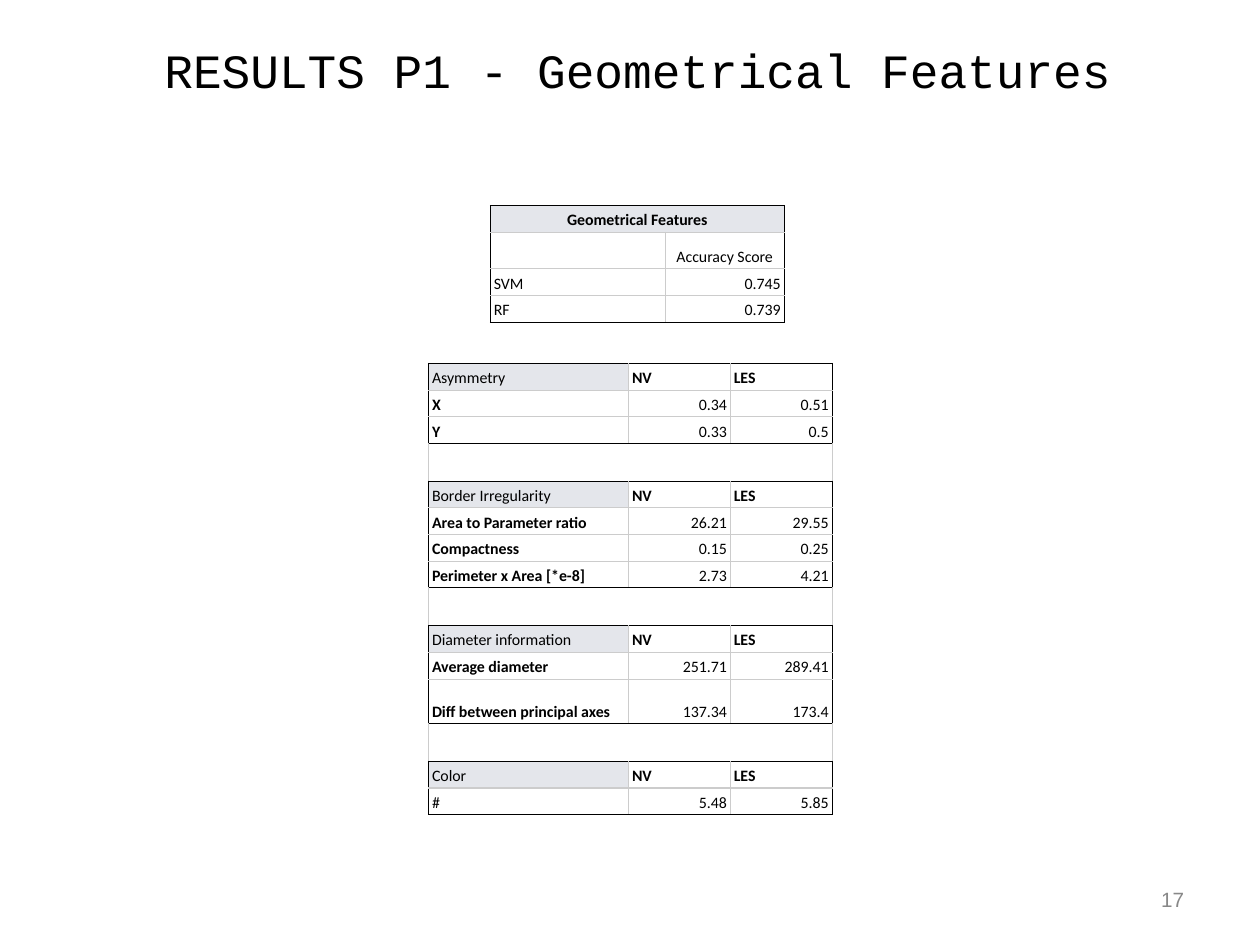
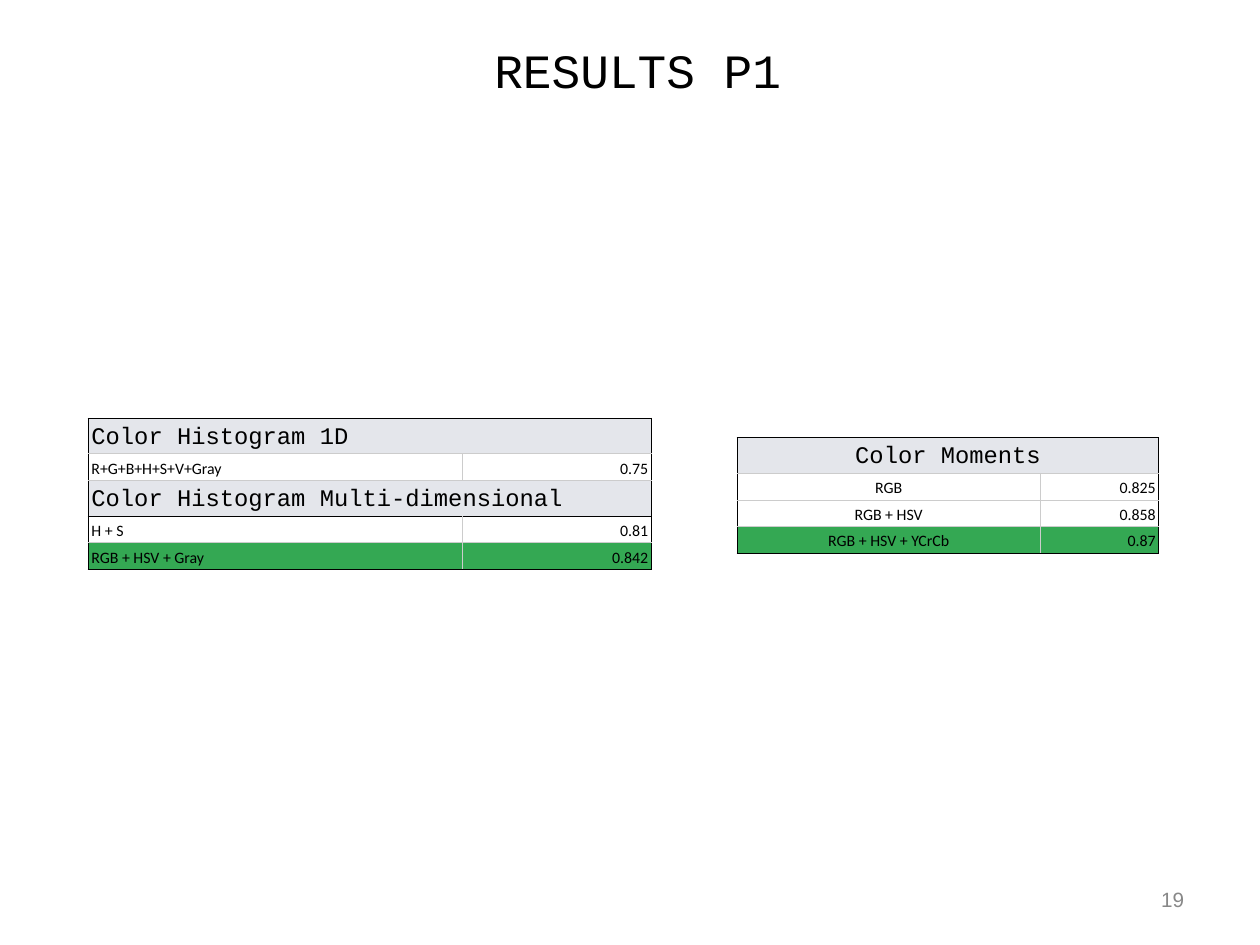
"""Build two slides of classification results with bordered score tables."""
import dataclasses

import lxml.etree
import pptx
import pptx.dml.color
import pptx.enum.text
import pptx.oxml.ns
import pptx.util

Inches = pptx.util.Inches
Align = pptx.enum.text.PP_ALIGN
Anchor = pptx.enum.text.MSO_ANCHOR


@dataclasses.dataclass(frozen=True)
class Theme:
    """Colours, fonts and type sizes of the slides."""
    black: str = "000000"
    white: str = "FFFFFF"
    number_grey: str = "888888"
    grid: str = "CCCCCC"
    band: str = "E4E6EB"
    best: str = "34A853"
    heading_font: str = "Courier New"
    table_font: str = "Calibri"
    number_font: str = "Arial"
    title_size: float = 30.1
    heading_size: float = 15
    table_size: float = 10
    number_size: float = 13
    border_width: float = 0.75


THEME = Theme()


@dataclasses.dataclass(frozen=True)
class CellStyle:
    """Look of one table cell."""
    align: Align = Align.LEFT
    bold: bool = False
    fill: str = THEME.white
    font: str = THEME.table_font
    size: float = THEME.table_size
    spacing: float = 1.15


@dataclasses.dataclass(frozen=True)
class RowStyle:
    """Look of a table row: its first cell, its other cells and its height."""
    first: CellStyle
    other: CellStyle
    height: float = 0.23
    merged: bool = False
    side: str = THEME.black


PLAIN = CellStyle()
BOLD = CellStyle(bold=True)
CENTERED = CellStyle(align=Align.CENTER)
VALUE = CellStyle(align=Align.RIGHT)
BEST_VALUE = CellStyle(align=Align.RIGHT, fill=THEME.best)
CAPTION = CellStyle(align=Align.CENTER, spacing=1.0)
BAND = CellStyle(align=Align.CENTER, bold=True, fill=THEME.band)
HEADING = CellStyle(fill=THEME.band, font=THEME.heading_font, size=THEME.heading_size)
CENTERED_HEADING = dataclasses.replace(HEADING, align=Align.CENTER)

ROW_STYLES = {
    "band": RowStyle(BAND, BAND, merged=True),
    "heading": RowStyle(HEADING, HEADING, 0.31, merged=True),
    "centered heading": RowStyle(CENTERED_HEADING, CENTERED_HEADING, 0.31, merged=True),
    "caption": RowStyle(PLAIN, CAPTION, 0.32),
    "group": RowStyle(CellStyle(fill=THEME.band), BOLD),
    "plain": RowStyle(PLAIN, VALUE),
    "bold": RowStyle(BOLD, VALUE),
    "tall bold": RowStyle(BOLD, VALUE, 0.39),
    "centered": RowStyle(CENTERED, VALUE),
    "best": RowStyle(CellStyle(fill=THEME.best), BEST_VALUE),
    "centered best": RowStyle(CellStyle(align=Align.CENTER, fill=THEME.best), BEST_VALUE),
    "gap": RowStyle(PLAIN, PLAIN, 0.33, merged=True, side=THEME.grid),
}

GAP = [("gap", "")]
ACCURACY_BLOCKS = [[
    ("band", "Geometrical Features"),
    ("caption", "", "Accuracy Score"),
    ("plain", "SVM", "0.745"),
    ("plain", "RF", "0.739"),
]]
FEATURE_BLOCKS = [
    [
        ("group", "Asymmetry", "NV", "LES"),
        ("bold", "X", "0.34", "0.51"),
        ("bold", "Y", "0.33", "0.5"),
    ],
    GAP,
    [
        ("group", "Border Irregularity", "NV", "LES"),
        ("bold", "Area to Parameter ratio", "26.21", "29.55"),
        ("bold", "Compactness", "0.15", "0.25"),
        ("bold", "Perimeter x Area [*e-8]", "2.73", "4.21"),
    ],
    GAP,
    [
        ("group", "Diameter information", "NV", "LES"),
        ("bold", "Average diameter", "251.71", "289.41"),
        ("tall bold", "Diff between principal axes", "137.34", "173.4"),
    ],
    GAP,
    [
        ("group", "Color", "NV", "LES"),
        ("plain", "#", "5.48", "5.85"),
    ],
]
MOMENT_BLOCKS = [[
    ("centered heading", "Color Moments"),
    ("centered", "RGB", "0.825"),
    ("centered", "RGB + HSV", "0.858"),
    ("centered best", "RGB + HSV + YCrCb", "0.87"),
]]
HISTOGRAM_BLOCKS = [
    [
        ("heading", "Color Histogram 1D"),
        ("plain", "R+G+B+H+S+V+Gray", "0.75"),
        ("heading", "Color Histogram Multi-dimensional"),
    ],
    [
        ("plain", "H + S", "0.81"),
        ("best", "RGB + HSV + Gray", "0.842"),
    ],
]


def set_attributes(target, values):
    """Set each named attribute of the target."""
    for name, value in values.items():
        setattr(target, name, value)


def write_text(frame, text, align, font, size, color=THEME.black, bold=False, spacing=1.0):
    """Write one formatted paragraph into a text frame."""
    paragraph = frame.paragraphs[0]
    set_attributes(paragraph, {"alignment": align, "line_spacing": spacing})
    if text:
        run = paragraph.add_run()
        run.text = text
        set_attributes(run.font, {"name": font, "size": pptx.util.Pt(size), "bold": bold})
        run.font.color.rgb = pptx.dml.color.RGBColor.from_string(color)


def format_frame(frame):
    """Apply the margins and anchor shared by titles and slide numbers."""
    set_attributes(frame, {
        "word_wrap": True,
        "auto_size": pptx.enum.text.MSO_AUTO_SIZE.NONE,
        "vertical_anchor": Anchor.MIDDLE,
        "margin_left": Inches(0.11),
        "margin_right": Inches(0.11),
        "margin_top": Inches(0.06),
        "margin_bottom": Inches(0.06),
    })


def add_titled_slide(presentation, title, number):
    """Add a slide with its title and slide number."""
    slide = presentation.slides.add_slide(presentation.slide_layouts[5])
    heading = slide.shapes.title
    set_attributes(heading, {
        "left": Inches(0.62), "top": Inches(0.2),
        "width": Inches(9.92), "height": Inches(0.82),
    })
    format_frame(heading.text_frame)
    write_text(heading.text_frame, title, Align.CENTER, THEME.heading_font, THEME.title_size)
    number_box = slide.shapes.add_textbox(
        Inches(7.9), Inches(7.66), Inches(2.57), Inches(0.44))
    format_frame(number_box.text_frame)
    write_text(number_box.text_frame, number, Align.RIGHT, THEME.number_font,
               THEME.number_size, THEME.number_grey, spacing=0.93)
    return slide


def set_borders(cell, left, right, top, bottom):
    """Draw the four borders of a cell in the given colours."""
    properties = cell._tc.get_or_add_tcPr()
    qualified = pptx.oxml.ns.qn
    for side, color in zip("LRTB", (left, right, top, bottom)):
        line = lxml.etree.SubElement(properties, qualified(f"a:ln{side}"),
                                     w=str(pptx.util.Pt(THEME.border_width)))
        fill = lxml.etree.SubElement(line, qualified("a:solidFill"))
        lxml.etree.SubElement(fill, qualified("a:srgbClr"), val=color)


def format_cell(cell, text, style):
    """Fill a cell and write its text."""
    cell.fill.solid()
    cell.fill.fore_color.rgb = pptx.dml.color.RGBColor.from_string(style.fill)
    vertical_margin = Inches(0.02 if text else 0)
    set_attributes(cell, {
        "vertical_anchor": Anchor.BOTTOM,
        "margin_left": Inches(0.03), "margin_right": Inches(0.03),
        "margin_top": vertical_margin, "margin_bottom": vertical_margin,
    })
    write_text(cell.text_frame, text, style.align, style.font, style.size,
               bold=style.bold, spacing=style.spacing)


def add_score_table(slide, left, top, widths, blocks):
    """Add a table whose blocks of rows are outlined in black."""
    rows = [(row, row is block[0], row is block[-1]) for block in blocks for row in block]
    height = sum(ROW_STYLES[row[0]].height for row, _, _ in rows)
    table = slide.shapes.add_table(len(rows), len(widths), Inches(left), Inches(top),
                                   Inches(sum(widths)), Inches(height)).table
    set_attributes(table, {"first_row": False, "horz_banding": False})
    for column, width in zip(table.columns, widths):
        column.width = Inches(width)
    last = len(widths) - 1
    for row_index, ((kind, *texts), opens, closes) in enumerate(rows):
        style = ROW_STYLES[kind]
        table.rows[row_index].height = Inches(style.height)
        if style.merged:
            table.cell(row_index, 0).merge(table.cell(row_index, last))
            texts += [""] * last
        for column_index, text in enumerate(texts):
            cell = table.cell(row_index, column_index)
            set_borders(
                cell,
                style.side if style.merged or column_index == 0 else THEME.grid,
                style.side if style.merged or column_index == last else THEME.grid,
                THEME.black if opens else THEME.grid,
                THEME.black if closes else THEME.grid,
            )
            format_cell(cell, text, style.other if column_index else style.first)


def main():
    """Build and save the presentation."""
    presentation = pptx.Presentation()
    presentation.slide_width = Inches(28 / 2.54)
    presentation.slide_height = Inches(21 / 2.54)

    slide = add_titled_slide(presentation, "RESULTS P1 - Geometrical Features", "17")
    add_score_table(slide, 4.29, 1.8, (1.53, 1.04), ACCURACY_BLOCKS)
    add_score_table(slide, 3.75, 3.18, (1.75, 0.89, 0.89), FEATURE_BLOCKS)

    slide = add_titled_slide(presentation, "RESULTS P1", "19")
    add_score_table(slide, 6.45, 3.83, (2.65, 1.04), MOMENT_BLOCKS)
    add_score_table(slide, 0.77, 3.66, (3.28, 1.65), HISTOGRAM_BLOCKS)

    presentation.save("out.pptx")


if __name__ == "__main__":
    main()
